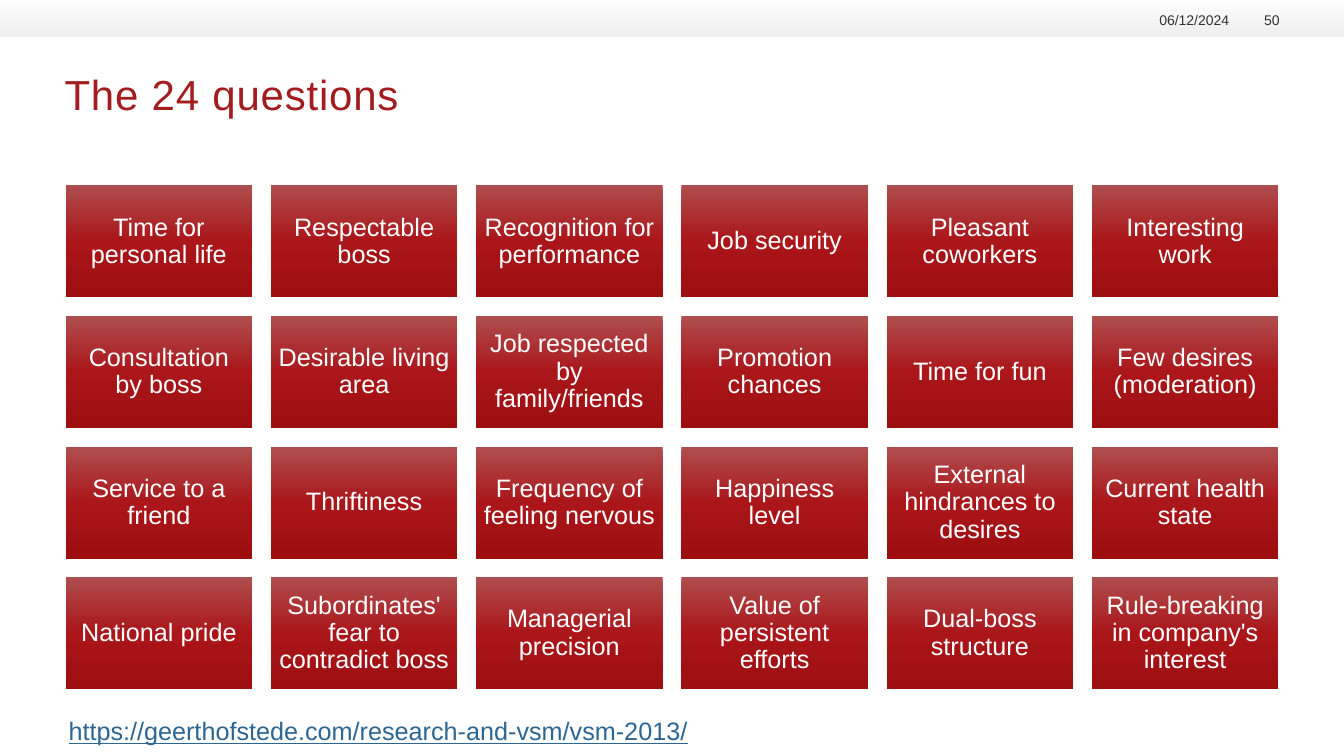
from dataclasses import dataclass

from lxml.etree import SubElement
from pptx import Presentation
from pptx.dml.color import RGBColor
from pptx.enum.shapes import MSO_SHAPE
from pptx.enum.text import MSO_ANCHOR, PP_ALIGN
from pptx.oxml.ns import qn
from pptx.util import Inches, Pt


@dataclass(frozen=True)
class Theme:
    font: str = "Arial"
    title: str = "A31D20"
    small: str = "333333"
    tile_text: str = "FFFFFF"
    link: str = "2C6693"
    band: tuple = ((0, "FFFFFF", 100), (100, "EEEFEE", 93))
    tile: tuple = ((0, "AF4E4F", 100), (50, "AA161A", 100), (100, "9D0E11", 100))
    title_size: int = 30
    body_size: int = 18
    small_size: int = 10


THEME = Theme()
WIDTH, HEIGHT = 13.33, 7.5
COLUMNS, GAP_SHARE, TILE_ASPECT = 6, 0.1, 0.6

QUESTIONS = (
    "Time for personal life", "Respectable boss", "Recognition for performance",
    "Job security", "Pleasant coworkers", "Interesting work",
    "Consultation by boss", "Desirable living area", "Job respected by family/friends",
    "Promotion chances", "Time for fun", "Few desires (moderation)",
    "Service to a friend", "Thriftiness", "Frequency of feeling nervous",
    "Happiness level", "External hindrances to desires", "Current health state",
    "National pride", "Subordinates' fear to contradict boss", "Managerial precision",
    "Value of persistent efforts", "Dual-boss structure",
    "Rule-breaking in company's interest",
)


def set_attrs(target, values):
    for name, value in values.items():
        setattr(target, name, value)


def write(sp, text, size, color, inset=0, anchor=MSO_ANCHOR.TOP, **paragraph):
    tf = sp.text_frame
    set_attrs(tf, {"word_wrap": True, "vertical_anchor": anchor})
    for side in ("left", "top", "right", "bottom"):
        setattr(tf, f"margin_{side}", Inches(inset))
    p = tf.paragraphs[0]
    set_attrs(p, paragraph)
    r = p.add_run()
    r.text = text
    set_attrs(r.font, {"name": THEME.font, "size": Pt(size)})
    r.font.color.rgb = RGBColor.from_string(color)
    return r


def add_text(s, box, *args, **kwargs):
    return write(s.shapes.add_textbox(*map(Inches, box)), *args, **kwargs)


def add_gradient_box(s, box, stops):
    sp = s.shapes.add_shape(MSO_SHAPE.RECTANGLE, *map(Inches, box))
    sp.shadow.inherit = False
    sp.line.fill.background()
    sp.fill.gradient()
    sp.fill.gradient_angle = 270
    gs_list = next(sp._element.spPr.iter(qn("a:gsLst")))
    for gs in list(gs_list):
        gs_list.remove(gs)
    for position, color, opacity in stops:
        gs = SubElement(gs_list, qn("a:gs"), pos=str(position * 1000))
        clr = SubElement(gs, qn("a:srgbClr"), val=color)
        if opacity < 100:
            SubElement(clr, qn("a:alpha"), val=str(opacity * 1000))
    return sp


def add_header(s, box):
    x, y, w, h = box
    add_gradient_box(s, box, THEME.band)
    top, height = y + h * 0.25, h * 0.53
    for left, width, text in ((11.3, 0.89, "06/12/2024"), (12.27, 0.42, "50")):
        add_text(s, (x + left, top, width, height), text, THEME.small_size,
                 THEME.small, anchor=MSO_ANCHOR.BOTTOM, alignment=PP_ALIGN.RIGHT)


def add_title(s, box):
    r = add_text(s, box, "The 24 questions", THEME.title_size, THEME.title)
    r._r.get_or_add_rPr().set("spc", "60")


def add_question_grid(s, box):
    x, y, w = box
    tile_w = w / (COLUMNS + (COLUMNS - 1) * GAP_SHARE)
    tile_h, gap = tile_w * TILE_ASPECT, tile_w * GAP_SHARE
    for i, question in enumerate(QUESTIONS):
        row, col = divmod(i, COLUMNS)
        tile = (x + col * (tile_w + gap), y + row * (tile_h + gap), tile_w, tile_h)
        write(add_gradient_box(s, tile, THEME.tile), question, THEME.body_size,
              THEME.tile_text, inset=0.07, anchor=MSO_ANCHOR.MIDDLE,
              alignment=PP_ALIGN.CENTER, line_spacing=0.9)


def add_source(s, box):
    x, y, w, h = box
    r = add_text(s, (x + 0.1, y + 0.05, w - 0.2, h - 0.1),
                 "https://geerthofstede.com/research-and-vsm/vsm-2013/",
                 THEME.body_size, THEME.link)
    r.font.underline = True


def main():
    prs = Presentation()
    set_attrs(prs, {"slide_width": Inches(WIDTH), "slide_height": Inches(HEIGHT)})
    s = prs.slides.add_slide(prs.slide_layouts[6])
    add_header(s, (0, 0, WIDTH, 0.36))
    add_title(s, (0.64, 0.68, 12.04, 0.94))
    add_question_grid(s, (0.65, 1.84, 12.03))
    add_source(s, (0.58, 7.05, 6.67, 0.4))
    prs.save("out.pptx")


if __name__ == "__main__":
    main()
